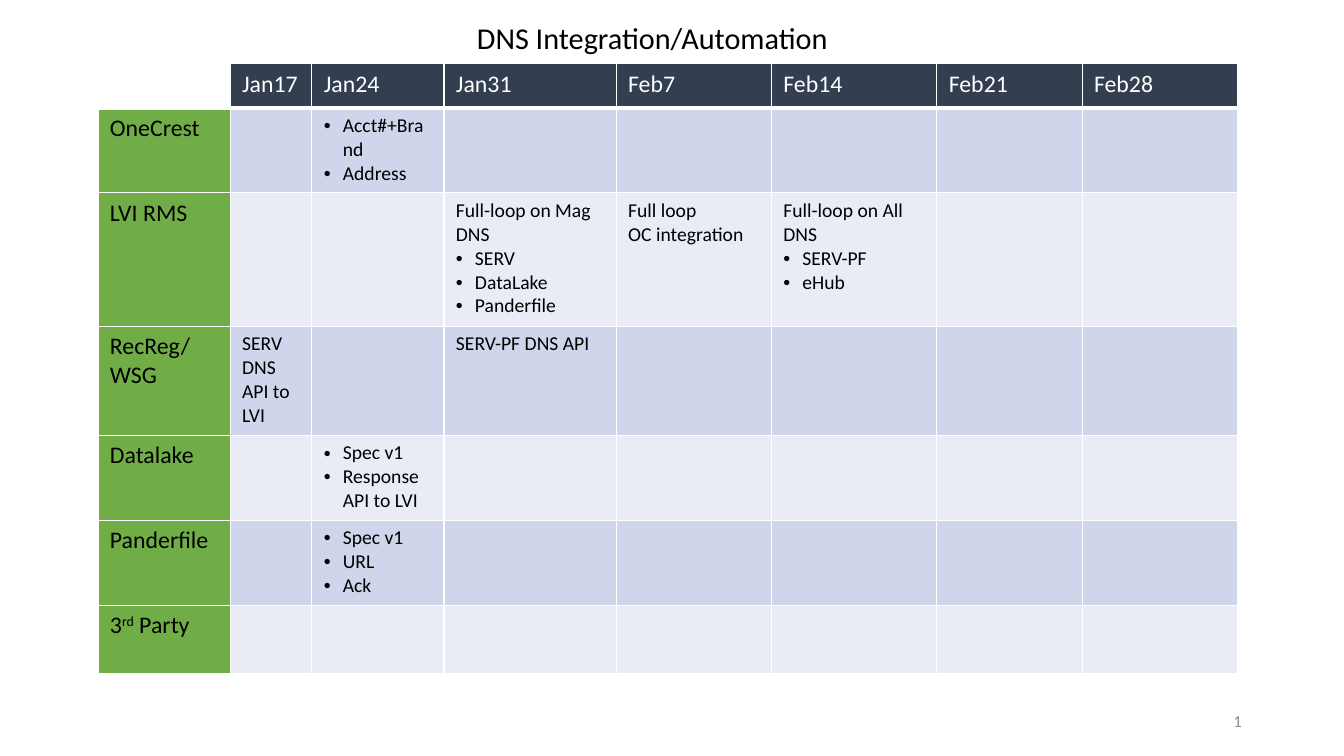
from lxml.etree import SubElement
from pptx import Presentation
from pptx.dml.color import RGBColor
from pptx.enum.text import MSO_ANCHOR, MSO_AUTO_SIZE, PP_ALIGN
from pptx.oxml import parse_xml
from pptx.oxml.ns import nsdecls, qn
from pptx.util import Cm, Pt

WHITE, BLACK, NAVY, GREEN = "FFFFFF", "000000", "333F50", "70AD47"
BANDS = ["CFD5EA", "E9EBF5"]
COLUMN_WIDTHS = [3.33, 2.06, 3.33, 4.34, 3.91, 4.17, 3.66, 3.91]
ROW_HEIGHTS = [1.11, 2.14, 3.36, 2.75, 2.14, 2.14, 1.73]
WEEKS = ["Jan17", "Jan24", "Jan31", "Feb7", "Feb14", "Feb21", "Feb28"]
SYSTEMS = ["OneCrest", "LVI RMS", "RecReg/\nWSG", "Datalake", "Panderfile", "3^rd^ Party"]
# Keys are (system, week); lines that start with • become bullets.
TASKS = {
    ("OneCrest", "Jan24"): "•Acct#+Brand\n•Address",
    ("LVI RMS", "Jan31"): "Full-loop on Mag DNS\n•SERV\n•DataLake\n•Panderfile",
    ("LVI RMS", "Feb7"): "Full loop\nOC integration",
    ("LVI RMS", "Feb14"): "Full-loop on All DNS\n•SERV-PF\n•eHub",
    ("RecReg/\nWSG", "Jan17"): "SERV DNS API to LVI",
    ("RecReg/\nWSG", "Jan31"): "SERV-PF DNS API",
    ("Datalake", "Jan24"): "•Spec v1\n•Response API to LVI",
    ("Panderfile", "Jan24"): "•Spec v1\n•URL\n•Ack",
}


def color(value):
    return RGBColor.from_string(value)


def write(frame, text, size, ink, align=PP_ALIGN.LEFT):
    """Write one paragraph per line; • starts a bullet, ^ encloses a superscript."""
    for index, line in enumerate(text.split("\n")):
        para = frame.add_paragraph() if index else frame.paragraphs[0]
        para.alignment = align
        if line.startswith("•"):
            properties = para._p.get_or_add_pPr()
            properties.set("marL", str(Cm(0.48)))
            properties.set("indent", str(Cm(-0.48)))
            SubElement(properties, qn("a:buFont")).set("typeface", "Arial")
            SubElement(properties, qn("a:buChar")).set("char", "•")
        for position, piece in enumerate(line.lstrip("•").split("^")):
            span = para.add_run()
            span.text = piece
            for name, value in {"name": "Calibri", "size": Pt(size), "bold": False}.items():
                setattr(span.font, name, value)
            span.font.color.rgb = color(ink)
            if position % 2:
                span._r.get_or_add_rPr().set("baseline", "30000")


deck = Presentation()
deck.slide_width, deck.slide_height = Cm(33.87), Cm(19.05)
page = deck.slides.add_slide(deck.slide_layouts[5])

title = page.shapes.title
title_format = {"left": Cm(4.5), "top": Cm(0.36), "width": Cm(23.88), "height": Cm(1.17)}
for name, value in title_format.items():
    setattr(title, name, value)
title.text_frame.auto_size = MSO_AUTO_SIZE.NONE
title.text_frame.vertical_anchor = MSO_ANCHOR.TOP
write(title.text_frame, "DNS Integration/Automation", 21.6, BLACK, PP_ALIGN.CENTER)

schedule = page.shapes.add_table(
    len(ROW_HEIGHTS), len(COLUMN_WIDTHS), Cm(2.47), Cm(1.61),
    Cm(sum(COLUMN_WIDTHS)), Cm(sum(ROW_HEIGHTS))).table
for column, width in zip(schedule.columns, COLUMN_WIDTHS):
    column.width = Cm(width)

for row, height in enumerate(ROW_HEIGHTS):
    schedule.rows[row].height = Cm(height)
    for column in range(len(COLUMN_WIDTHS)):
        cell = schedule.cell(row, column)
        for side in ("left", "right"):
            setattr(cell, f"margin_{side}", Cm(0.3))
        for side in ("top", "bottom"):
            setattr(cell, f"margin_{side}", Cm(0.15))
        for side in "LRTB":
            thick = row == 0 and side == "B"
            border = SubElement(cell._tc.get_or_add_tcPr(), qn(f"a:ln{side}"))
            border.set("w", str(Pt(3 if thick else 1)))
            paint = SubElement(border, qn("a:solidFill"))
            SubElement(paint, qn("a:srgbClr")).set("val", WHITE)

        if row == 0 and column == 0:
            cell.fill.background()
            continue
        if row == 0:
            text, size, ink, fill = WEEKS[column - 1], 17, WHITE, NAVY
        elif column == 0:
            text, size, ink, fill = SYSTEMS[row - 1], 17, BLACK, GREEN
        else:
            text = TASKS.get((SYSTEMS[row - 1], WEEKS[column - 1]), "")
            size, ink, fill = 14, BLACK, BANDS[(row - 1) % 2]
        cell.fill.solid()
        cell.fill.fore_color.rgb = color(fill)
        if text:
            write(cell.text_frame, text, size, ink)

number_box = page.shapes.add_textbox(Cm(23.93), Cm(17.65), Cm(7.62), Cm(1.02))
number_box.text_frame.word_wrap = True
number_box.text_frame.vertical_anchor = MSO_ANCHOR.MIDDLE
number = number_box.text_frame.paragraphs[0]
number.alignment = PP_ALIGN.RIGHT
number._p.append(parse_xml(
    f'<a:fld {nsdecls("a")} id="{{B6F15528-21DE-4FAA-801E-634DDDAF4B2B}}" type="slidenum">'
    '<a:rPr lang="en-US" sz="1200"><a:solidFill><a:srgbClr val="8C8C8C"/></a:solidFill>'
    '<a:latin typeface="Calibri"/></a:rPr><a:t>1</a:t></a:fld>'))

deck.save("out.pptx")
